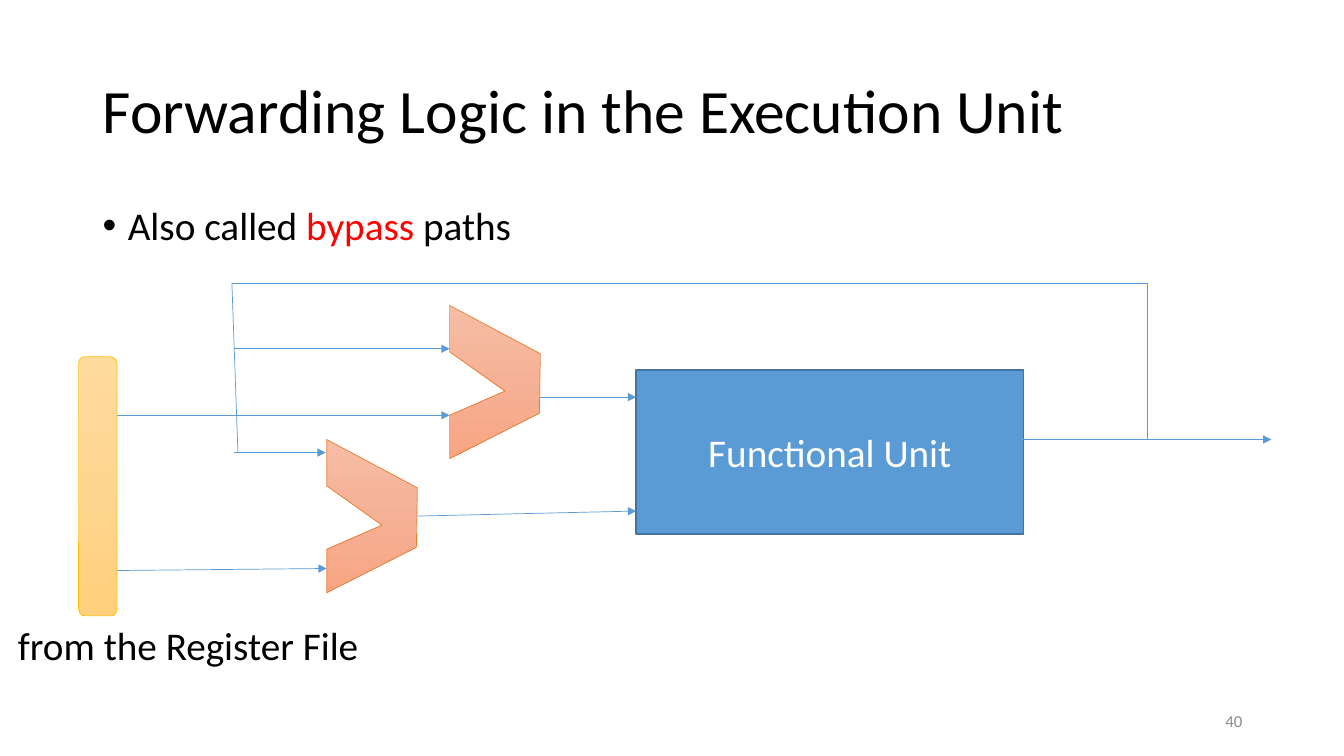
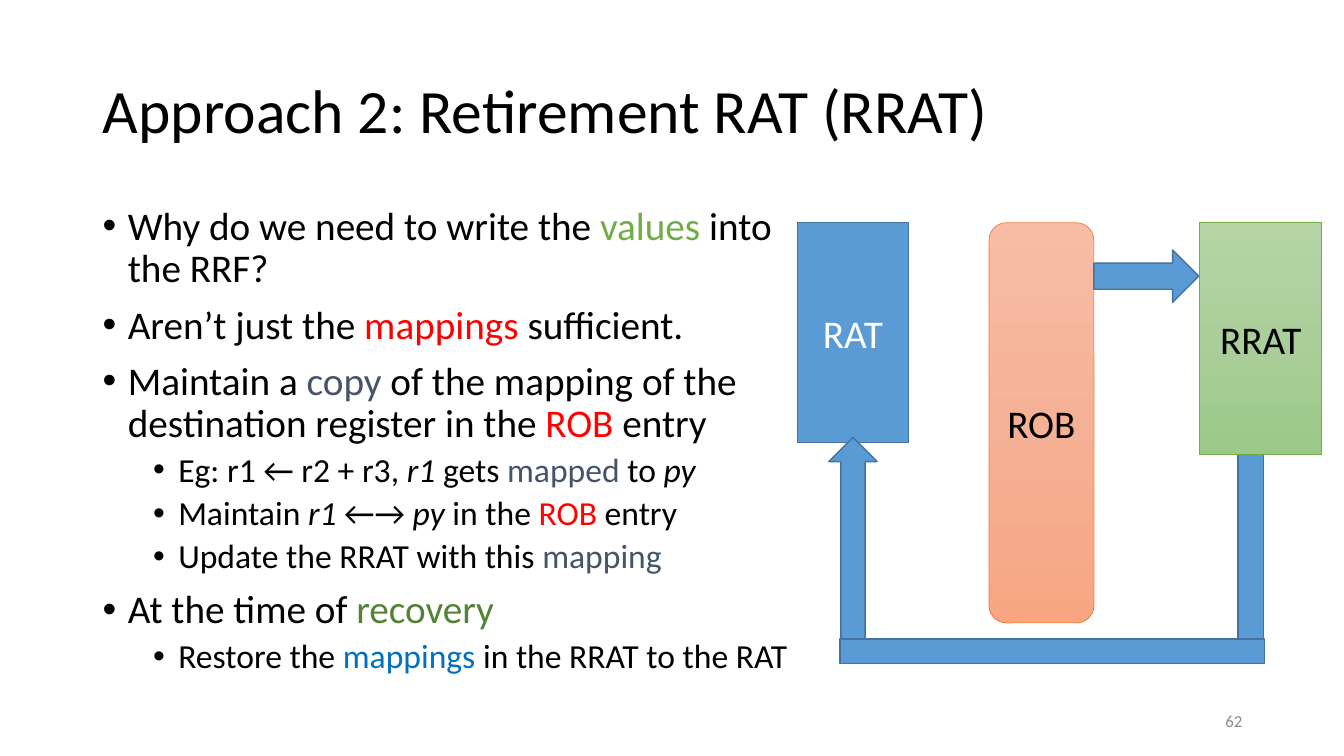
from copy import deepcopy
from dataclasses import dataclass

from lxml import etree
from pptx import Presentation
from pptx.dml.color import RGBColor
from pptx.enum.shapes import MSO_CONNECTOR, MSO_SHAPE
from pptx.enum.text import MSO_ANCHOR, MSO_AUTO_SIZE, PP_ALIGN
from pptx.oxml.ns import qn
from pptx.util import Inches, Pt

RECT = MSO_SHAPE.RECTANGLE
ROUND = MSO_SHAPE.ROUNDED_RECTANGLE
ARROW = MSO_SHAPE.RIGHT_ARROW
LINE = MSO_CONNECTOR.STRAIGHT
MIDDLE = MSO_ANCHOR.MIDDLE
NO_FIT = MSO_AUTO_SIZE.NONE
LEFT, CENTER, RIGHT = PP_ALIGN.LEFT, PP_ALIGN.CENTER, PP_ALIGN.RIGHT


@dataclass(frozen=True)
class Theme:
    font: str = "Calibri"
    title: int = 44
    body: int = 28
    sub: int = 24
    page: int = 12
    black: str = "000000"
    white: str = "FFFFFF"
    gray: str = "8C8C8C"
    red: str = "FF0000"
    green: str = "70AD47"
    moss: str = "548235"
    slate: str = "44546A"
    azure: str = "0070C0"
    wire: str = "5B9BD5"
    blue: tuple = ("43739E", 1, "5B9BD5")
    peach: tuple = ("ED7D31", 0.5, "F7BDA5", "F5B196", "F8A582")
    gold: tuple = ("FFC000", 0.5, "FFDB9E", "FFD590", "FFD07C")
    leaf: tuple = ("70AD47", 0.5, "B5D5A7", "AACE9A", "9CC987")


T = Theme()


def write(para, runs, size, ink=T.black, align=LEFT):
    para.alignment = align
    for item in runs:
        if item == "\n":
            para.add_line_break()
            continue
        text, tint, slant = item if isinstance(item, tuple) else (item, ink, False)
        run = para.add_run()
        run.text = text
        run.font.name = T.font
        run.font.size = Pt(size)
        run.font.italic = slant
        run.font.color.rgb = RGBColor.from_string(tint)


def paint(shape, tone, label="", ink=T.black):
    edge, width, *fills = tone
    shape.shadow.inherit = False
    shape.line.color.rgb = RGBColor.from_string(edge)
    shape.line.width = Pt(width)
    if len(fills) == 1:
        shape.fill.solid()
        shape.fill.fore_color.rgb = RGBColor.from_string(fills[0])
    else:
        shape.fill.gradient()
        shape.fill.gradient_angle = 270
        first = shape._element.spPr.find(".//" + qn("a:gs"))
        first.addnext(deepcopy(first))
        for stop, tint, place in zip(shape.fill.gradient_stops, fills, (0, 0.5, 1)):
            stop.color.rgb = RGBColor.from_string(tint)
            stop.position = place
    if label:
        shape.text_frame.vertical_anchor = MIDDLE
        write(shape.text_frame.paragraphs[0], [label], T.body, ink, CENTER)


deck = Presentation()
deck.slide_width, deck.slide_height = Inches(13.33), Inches(7.5)

pages = [
    ("Forwarding Logic in the Execution Unit", "40", 0.81, [
        (0, ["Also called ", ("bypass", T.red, False), " paths"]),
    ]),
    ("Approach 2: Retirement RAT (RRAT)", "62", 4.76, [
        (0, ["Why do we need to write the ", ("values", T.green, False),
             " into", "\n", "the RRF?"]),
        (0, ["Aren’t just the ", ("mappings", T.red, False), " sufficient."]),
        (0, ["Maintain a ", ("copy", T.slate, False), " of the mapping of the", "\n",
             "destination register in the ", ("ROB", T.red, False), " entry"]),
        (1, ["Eg: r1 ← r2 + r3, ", ("r1 ", T.black, True), "gets ",
             ("mapped", T.slate, False), " to ", ("py", T.black, True)]),
        (1, ["Maintain ", ("r1", T.black, True), " ←→ ", ("py", T.black, True),
             " in the ", ("ROB", T.red, False), " entry"]),
        (1, ["Update the RRAT with this ", ("mapping", T.slate, False)]),
        (0, ["At the time of ", ("recovery", T.moss, False)]),
        (1, ["Restore the ", ("mappings", T.azure, False), " in the RRAT to the RAT"]),
    ]),
]

slides = []
for head, page, height, points in pages:
    slide = deck.slides.add_slide(deck.slide_layouts[5])
    slides.append(slide)
    title = slide.shapes.title
    title.left, title.top = Inches(0.92), Inches(0.4)
    title.width, title.height = Inches(11.5), Inches(1.45)
    frame = title.text_frame
    frame.auto_size = NO_FIT
    frame.vertical_anchor = MIDDLE
    frame.paragraphs[0].line_spacing = 0.9
    write(frame.paragraphs[0], [head], T.title)

    body = slide.shapes.add_textbox(Inches(0.92), Inches(2), Inches(11.5), Inches(height))
    frame = body.text_frame
    frame.word_wrap = True
    for row, (level, runs) in enumerate(points):
        para = frame.add_paragraph() if row else frame.paragraphs[0]
        para.level = level
        para.line_spacing = 0.9
        para.space_before = Pt((5 if level else 10) if row else 0)
        props = para._p.get_or_add_pPr()
        props.set("marL", str(Inches(0.25 + 0.5 * level)))
        props.set("indent", str(-Inches(0.25)))
        etree.SubElement(props, qn("a:buFont")).set("typeface", "Arial")
        etree.SubElement(props, qn("a:buChar")).set("char", "•")
        write(para, runs, T.sub if level else T.body)

    foot = slide.shapes.add_textbox(Inches(9.42), Inches(6.95), Inches(3), Inches(0.4))
    foot.text_frame.word_wrap = True
    foot.text_frame.vertical_anchor = MIDDLE
    write(foot.text_frame.paragraphs[0], [page], T.page, T.gray, RIGHT)

logic, retire = slides

unit = logic.shapes.add_shape(RECT, Inches(6.31), Inches(3.67), Inches(3.84), Inches(1.63))
paint(unit, T.blue, "Functional Unit", T.white)

notch = [(0, 0), (0, 0.46), (0.55, 0.85), (0, 1.09), (0, 1.52), (0.89, 1.07), (0.9, 0.48)]
for left, top in [(4.46, 3.03), (3.24, 4.36)]:
    spots = [(Inches(left + x), Inches(top + y)) for x, y in notch]
    pen = logic.shapes.build_freeform(*spots[0])
    pen.add_line_segments(spots[1:], close=True)
    paint(pen.convert_to_shape(), T.peach)

wires = [
    (5.36, 3.94, 6.31, 3.94, True),
    (4.14, 5.12, 6.31, 5.07, True),
    (10.15, 4.36, 12.61, 4.36, True),
    (11.38, 2.81, 11.38, 4.36, False),
    (11.38, 2.81, 2.3, 2.81, False),
    (2.3, 2.81, 2.36, 4.49, False),
    (2.32, 3.46, 4.46, 3.46, True),
    (2.32, 4.49, 3.23, 4.49, True),
    (1.16, 4.12, 4.46, 4.12, True),
    (1.16, 5.66, 3.24, 5.64, True),
]
for *ends, tip in wires:
    wire = logic.shapes.add_connector(LINE, *[Inches(end) for end in ends])
    wire.line.color.rgb = RGBColor.from_string(T.wire)
    wire.line.width = Pt(0.5)
    if tip:
        etree.SubElement(wire.line._get_or_add_ln(), qn("a:tailEnd")).set("type", "triangle")
    etree.SubElement(wire._element.spPr, qn("a:effectLst"))

bank = logic.shapes.add_shape(ROUND, Inches(0.78), Inches(3.54), Inches(0.38), Inches(2.57))
paint(bank, T.gold)
note = logic.shapes.add_textbox(Inches(0.08), Inches(6.11), Inches(3.61), Inches(0.57))
note.text_frame.word_wrap = False
write(note.text_frame.paragraphs[0], ["from the Register File"], T.body)

blocks = [
    (ROUND, 9.81, 2.21, 1.04, 3.97, 0, T.peach, "ROB", T.black),
    (ARROW, 10.85, 2.48, 1.04, 0.52, 0, T.blue, "", T.white),
    (RECT, 7.91, 2.21, 1.1, 2.18, 0, T.blue, "RAT", T.white),
    (ARROW, 7.34, 5.22, 2.24, 0.48, 270, T.blue, "", T.white),
    (RECT, 8.33, 6.34, 4.21, 0.24, 0, T.blue, "", T.white),
    (RECT, 12.28, 3.94, 0.25, 2.4, 0, T.blue, "", T.white),
    (RECT, 11.9, 2.21, 1.21, 2.3, 0, T.leaf, "RRAT", T.black),
]
for kind, left, top, width, height, turn, tone, label, ink in blocks:
    block = retire.shapes.add_shape(
        kind, Inches(left), Inches(top), Inches(width), Inches(height))
    block.rotation = turn
    paint(block, tone, label, ink)

deck.save("out.pptx")
